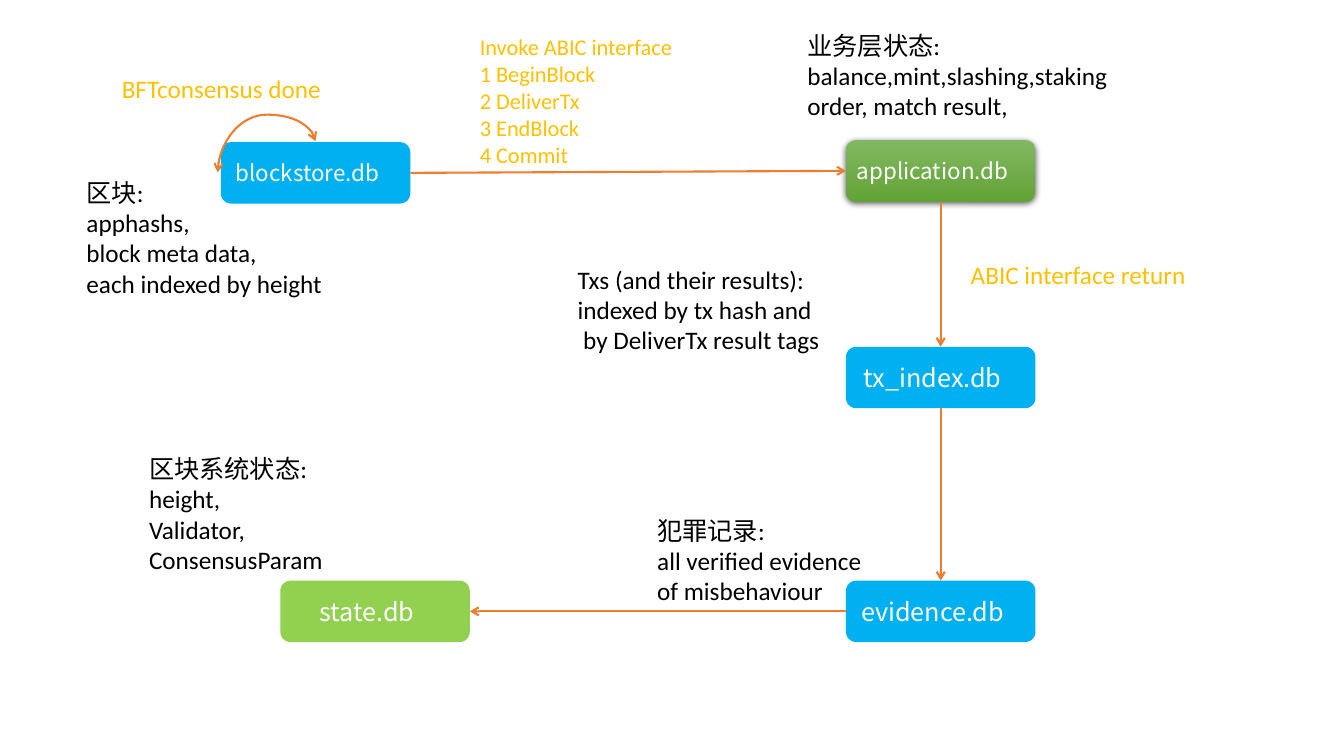
from lxml import etree
from pptx import Presentation
from pptx.dml.color import RGBColor
from pptx.enum import shapes, text
from pptx.oxml import parse_xml
from pptx.oxml.ns import nsdecls, qn
from pptx.util import Inches, Pt

THEME = {
    "blue": "00B0F0", "lime": "92D050", "green": ("81B861", "62A336"),
    "arrow": "ED7D31", "amber": "FFC000", "black": "000000", "white": "FFFFFF",
    "latin": "Calibri", "cjk": "Noto Sans CJK SC",
    "body": 18, "small": 16, "line": 1.5,
}

# Grid: column lefts and row tops of the databases, in inches
COLUMNS = {"store": 2.19, "state": 2.78, "main": 8.39}
ROWS = {"blocks": 1.41, "app": 1.39, "index": 3.44, "evidence": 5.76}
BOX_WIDTH, BOX_HEIGHT = 1.88, 0.61

# Name, column, row, fill, text size
DATABASES = [
    ("application.db", "main", "app", "green", "small"),
    ("evidence.db", "main", "evidence", "blue", "body"),
    ("blockstore.db", "store", "blocks", "blue", "small"),
    ("state.db", "state", "evidence", "lime", "body"),
    ("tx_index.db", "main", "index", "blue", "body"),
]

# Source, side, target, side
TOP, LEFT, BOTTOM, RIGHT = range(4)
FLOWS = [
    ("blockstore.db", RIGHT, "application.db", LEFT),
    ("application.db", BOTTOM, "tx_index.db", TOP),
    ("tx_index.db", BOTTOM, "evidence.db", TOP),
    ("evidence.db", LEFT, "state.db", RIGHT),
]

# Left, top, width, height, colour, size, lines
NOTES = [
    (4.66, 0.28, 2.35, 1.45, "amber", "small",
     ["Invoke ABIC interface", "1 BeginBlock", "2 DeliverTx", "3 EndBlock", "4 Commit"]),
    (9.53, 2.52, 2.54, 0.4, "amber", "body", ["ABIC interface return"]),
    (7.91, 0.25, 3.5, 1.01, "black", "body",
     ["业务层状态:", "balance,mint,slashing,staking", "order, match result,"]),
    (0.76, 1.71, 2.8, 1.31, "black", "body",
     ["区块:", "apphashs,", "block meta data,", "each indexed by height"]),
    (1.38, 4.45, 2.18, 1.31, "black", "body",
     ["区块系统状态:", "height,", "Validator,", "ConsensusParam"]),
    (5.63, 2.57, 2.88, 1.01, "black", "body",
     ["Txs (and their results):", "indexed by tx hash and", " by DeliverTx result tags"]),
    (6.42, 5.06, 2.47, 1.01, "black", "body",
     ["犯罪记录:", "all verified evidence", "of misbehaviour"]),
    (1.11, 0.68, 2.5, 0.4, "amber", "body", ["BFTconsensus done"]),
]


def colour(name):
    return RGBColor.from_string(THEME[name])


def write(frame, lines, font_name, size, colour_name, align):
    frame.text = "\n".join(lines)
    for paragraph in frame.paragraphs:
        paragraph.alignment = align
        for run in paragraph.runs:
            run.font.name = font_name
            run.font.size = Pt(THEME[size])
            run.font.color.rgb = colour(colour_name)
            east_asian = etree.SubElement(run.font._element, qn("a:ea"))
            east_asian.set("typeface", THEME["cjk"])


def add_database(slide, name, column, row, fill_name, size):
    shape = slide.shapes.add_shape(
        shapes.MSO_SHAPE.ROUNDED_RECTANGLE, Inches(COLUMNS[column]), Inches(ROWS[row]),
        Inches(BOX_WIDTH), Inches(BOX_HEIGHT))
    shape.line.fill.background()
    shape.shadow.inherit = False
    if fill_name == "green":
        shape.fill.gradient()
        shape.fill.gradient_angle = 270
        for stop, value in zip(shape.fill.gradient_stops, THEME["green"]):
            stop.color.rgb = RGBColor.from_string(value)
        shape._element.spPr.find(qn("a:effectLst")).append(parse_xml(
            f'<a:outerShdw {nsdecls("a")} blurRad="{Pt(4.5)}" dist="{Pt(1.5)}" '
            'dir="5400000" algn="ctr" rotWithShape="0"><a:srgbClr val="000000">'
            '<a:alpha val="63000"/></a:srgbClr></a:outerShdw>'))
    else:
        shape.fill.solid()
        shape.fill.fore_color.rgb = colour(fill_name)
    frame = shape.text_frame
    frame.word_wrap = True
    frame.vertical_anchor = text.MSO_ANCHOR.MIDDLE
    # The wider right inset sets the label slightly left of centre
    frame.margin_left, frame.margin_right = Inches(0.04), Inches(0.2)
    write(frame, [name], THEME["cjk"], size, "white", text.PP_ALIGN.CENTER)
    return shape


def add_arrow(slide, kind, points, ends=("tailEnd",)):
    connector = slide.shapes.add_connector(kind, *[Inches(value) for value in points])
    connector.line.color.rgb = colour("arrow")
    connector.line.width = Pt(THEME["line"])
    properties = connector._element.spPr
    for end in ends:
        etree.SubElement(properties.find(qn("a:ln")), qn(f"a:{end}")).set("type", "arrow")
    etree.SubElement(properties, qn("a:effectLst"))
    return connector


presentation = Presentation()
presentation.slide_width, presentation.slide_height = Inches(13.33), Inches(7.5)
slide = presentation.slides.add_slide(presentation.slide_layouts[6])

# Databases
databases = {entry[0]: add_database(slide, *entry) for entry in DATABASES}

# Flow between databases
for source, source_side, target, target_side in FLOWS:
    arrow = add_arrow(slide, shapes.MSO_CONNECTOR.STRAIGHT, (0, 0, 1, 1))
    arrow.begin_connect(databases[source], source_side)
    arrow.end_connect(databases[target], target_side)

# Consensus loop, turned so that it arches over the block store
loop = add_arrow(slide, shapes.MSO_CONNECTOR.CURVE, (2.8, 2.04, 2.49, 1.07),
                 ("headEnd", "tailEnd"))
loop_properties = loop._element.spPr
loop_properties.find(qn("a:xfrm")).set("rot", str(270 * 60000))
guides = loop_properties.find(qn("a:prstGeom")).get_or_add_avLst()
guide = etree.SubElement(guides, qn("a:gd"))
guide.set("name", "adj1")
guide.set("fmla", "val -85000")

# Notes
for left, top, width, height, colour_name, size, lines in NOTES:
    box = slide.shapes.add_textbox(*[Inches(value) for value in (left, top, width, height)])
    box.text_frame.word_wrap = False
    box.text_frame.auto_size = text.MSO_AUTO_SIZE.SHAPE_TO_FIT_TEXT
    write(box.text_frame, lines, THEME["latin"], size, colour_name, text.PP_ALIGN.LEFT)

presentation.save("out.pptx")
